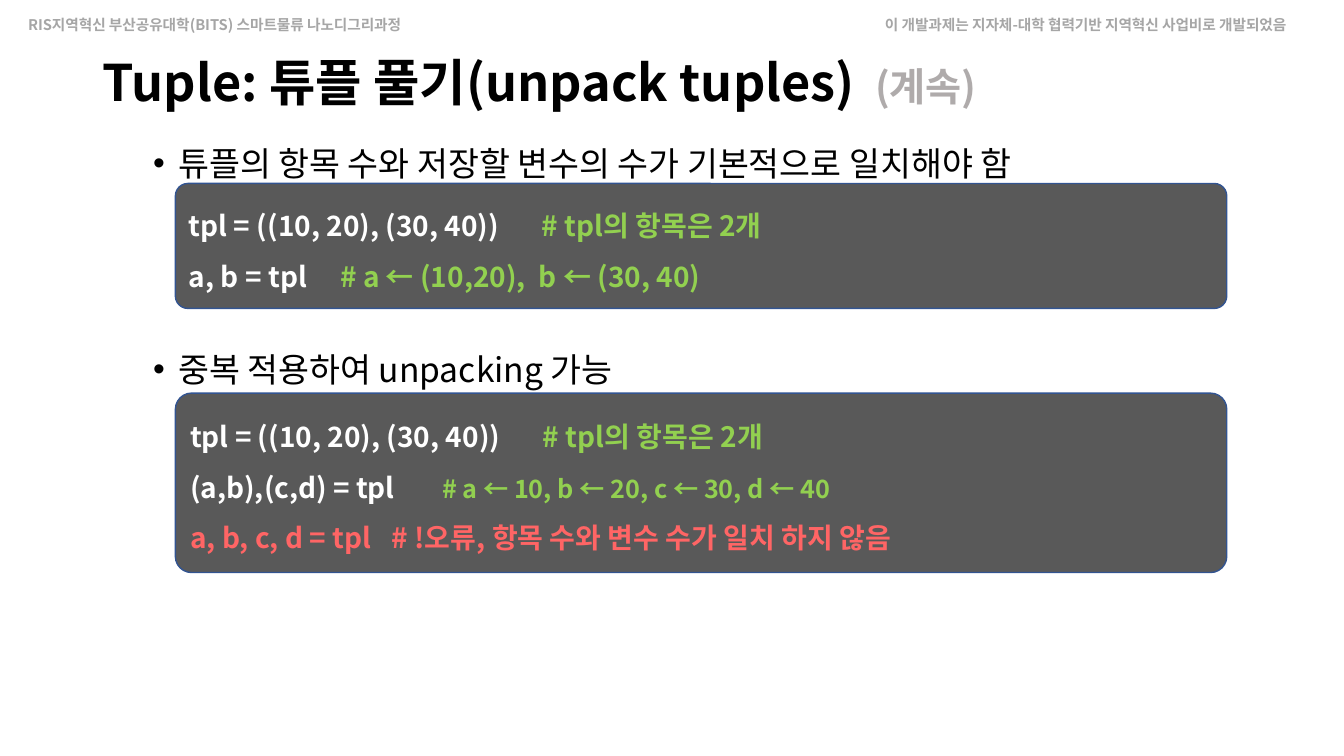
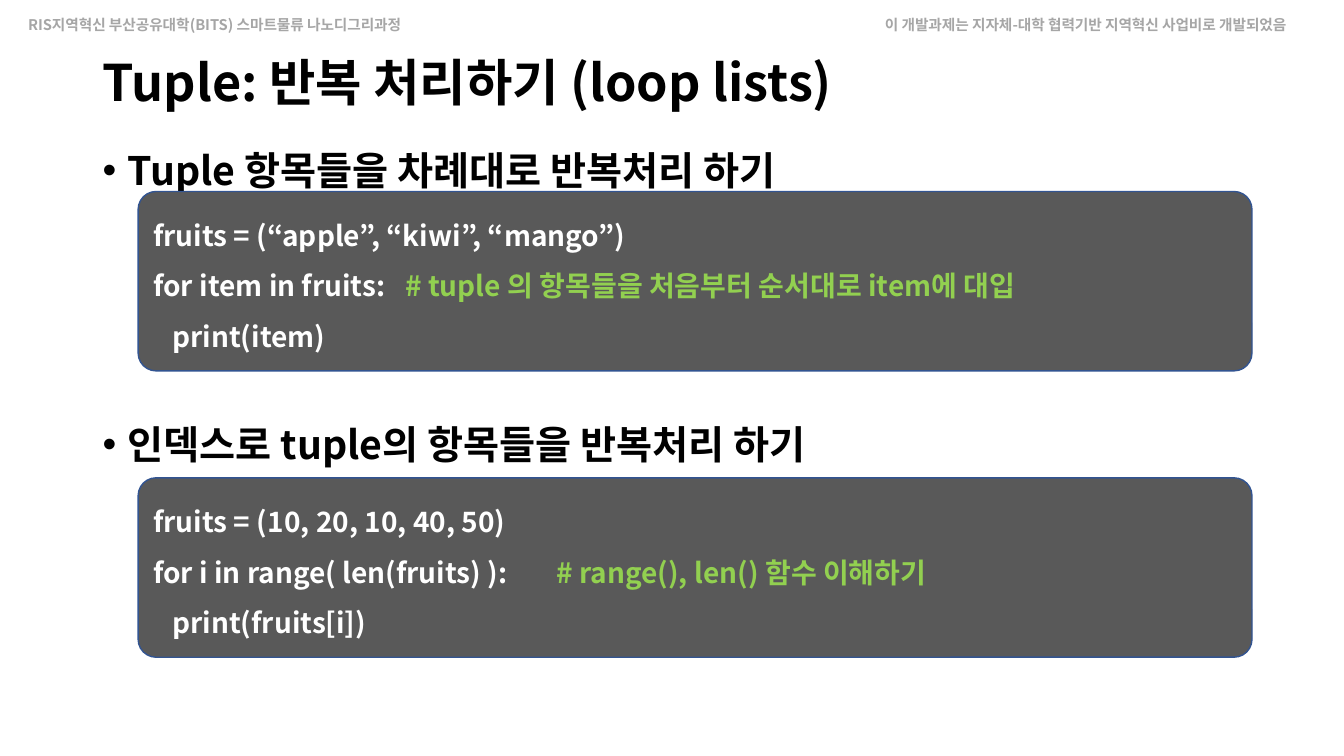
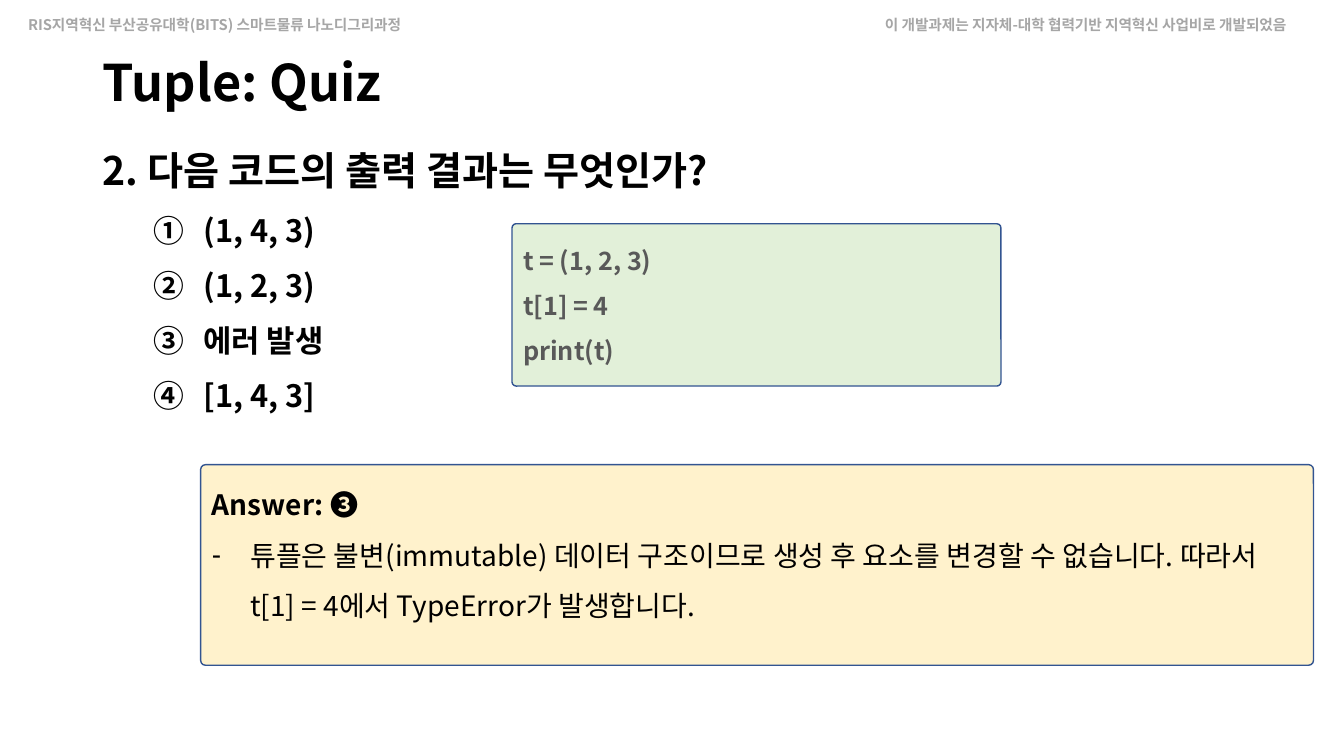
from dataclasses import dataclass

from lxml.etree import SubElement
from pptx import Presentation
from pptx.dml.color import RGBColor
from pptx.enum.shapes import MSO_SHAPE
from pptx.enum.text import MSO_ANCHOR, MSO_AUTO_SIZE, PP_ALIGN
from pptx.oxml.ns import qn
from pptx.util import Inches, Pt


@dataclass(frozen=True)
class Theme:
    font: str = "Noto Sans CJK KR"
    ink: str = "000000"
    muted: str = "AFABAB"
    header: str = "A6A6A6"
    panel: str = "595959"
    outline: str = "325491"
    code: str = "FFFFFF"
    comment: str = "92D050"
    error: str = "FF6565"
    quiz_fill: str = "E2F0D9"
    answer_fill: str = "FFF2CC"
    header_size: float = 10.5
    title_size: int = 36
    heading_size: int = 28
    point_size: int = 24
    option_size: int = 22
    code_size: int = 20
    small_size: int = 18


THEME = Theme()
WIDTH, HEIGHT = Inches(13.333), Inches(7.5)


@dataclass(frozen=True)
class Box:
    """A region given in percent of the slide's width and height."""
    left: float
    top: float
    width: float
    height: float

    def place(self):
        return (int(WIDTH * self.left / 100), int(HEIGHT * self.top / 100),
                int(WIDTH * self.width / 100), int(HEIGHT * self.height / 100))


HEADER_BOXES = (Box(1.35, 1.47, 31.8, 3.73), Box(65.1, 1.47, 34.9, 3.73))
HEADER_TEXTS = ("RIS지역혁신 부산공유대학(BITS) 스마트물류 나노디그리과정",
                "이 개발과제는 지자체-대학 협력기반 지역혁신 사업비로 개발되었음")
TITLE_BOX = Box(6.9, 5.33, 86.25, 12)
BODY_BOX = Box(6.9, 15.6, 90.6, 84.4)


# Text
def add_span(para, text, size=THEME.code_size, color=THEME.ink, bold=True):
    span = para.add_run()
    span.text = text
    span.font.size = Pt(size)
    span.font.bold = bold
    span.font.color.rgb = RGBColor.from_string(color)
    span.font.name = THEME.font
    SubElement(span.font._element, qn("a:ea"), typeface=THEME.font)


def add_para(frame, spacing=1.0, before=0, level=0, left=0.0, hang=0.0,
             bullet=None, number=None, stop=None):
    """Start the next paragraph; left, hang and stop are in inches."""
    first = frame.paragraphs[0]
    para = first if not first.runs else frame.add_paragraph()
    para.level = level
    para.alignment = PP_ALIGN.LEFT
    para.line_spacing = spacing
    para.space_before = Pt(before)
    props = para._p.get_or_add_pPr()
    props.set("marL", str(Inches(left)))
    props.set("indent", str(Inches(-hang)))
    if bullet:
        SubElement(props, qn("a:buFont"), typeface="Arial")
        SubElement(props, qn("a:buChar"), char=bullet)
    elif number:
        SubElement(props, qn("a:buAutoNum"), type=number)
    else:
        SubElement(props, qn("a:buNone"))
    if stop:
        tabs = SubElement(props, qn("a:tabLst"))
        SubElement(tabs, qn("a:tab"), pos=str(Inches(stop)), algn="l")
    return para


def add_text_box(page, box):
    frame = page.shapes.add_textbox(*box.place()).text_frame
    frame.word_wrap = True
    return frame


# Regions
def add_page(deck, title, suffix=None):
    page = deck.slides.add_slide(deck.slide_layouts[5])
    for box, text in zip(HEADER_BOXES, HEADER_TEXTS):
        add_span(add_para(add_text_box(page, box)), text,
                 size=THEME.header_size, color=THEME.header)
    holder = page.shapes.title
    holder.left, holder.top, holder.width, holder.height = TITLE_BOX.place()
    frame = holder.text_frame
    frame.auto_size = MSO_AUTO_SIZE.NONE
    frame.vertical_anchor = MSO_ANCHOR.MIDDLE
    para = add_para(frame, spacing=0.9)
    add_span(para, title, size=THEME.title_size)
    if suffix:
        add_span(para, f" {suffix}", size=THEME.heading_size, color=THEME.muted)
    return page


def add_points(page, box, points, gap, left, level, **style):
    """Bulleted points, gap points apart to leave room for code panels."""
    frame = add_text_box(page, box)
    for index, text in enumerate(points):
        para = add_para(frame, spacing=1.5, before=gap if index else 0,
                        level=level, left=left, hang=0.25, bullet="•")
        add_span(para, text, **style)


def add_panel(page, box, fill, corner):
    panel = page.shapes.add_shape(MSO_SHAPE.ROUNDED_RECTANGLE, *box.place())
    panel.adjustments[0] = corner
    panel.shadow.inherit = False
    panel.fill.solid()
    panel.fill.fore_color.rgb = RGBColor.from_string(fill)
    panel.line.color.rgb = RGBColor.from_string(THEME.outline)
    panel.line.width = Pt(1)
    frame = panel.text_frame
    frame.word_wrap = True
    frame.vertical_anchor = MSO_ANCHOR.TOP
    return frame


def add_code(page, box, lines, corner=0.1, fill=THEME.panel, **style):
    """Each line is code, comment, tab stop and formats of the two parts."""
    frame = add_panel(page, box, fill, corner)
    for code, comment, stop, changes, comment_changes in lines:
        para = add_para(frame, spacing=1.5, stop=stop)
        code_style = {"color": THEME.code, **style, **changes}
        add_span(para, code + ("\t" if comment else ""), **code_style)
        if comment:
            add_span(para, comment, **{"color": THEME.comment, **comment_changes})


def line(code, comment=None, stop=None, changes=None, comment_changes=None):
    return code, comment, stop, changes or {}, comment_changes or {}


def add_question(page, box, question, options):
    frame = add_text_box(page, box)
    add_span(add_para(frame, spacing=1.5), question, size=THEME.heading_size)
    for option in options:
        para = add_para(frame, spacing=1.3, before=5, level=1, left=1, hang=0.5,
                        number="circleNumDbPlain")
        add_span(para, option, size=THEME.option_size)


def add_answer(page, box, answer, reason):
    frame = add_panel(page, box, THEME.answer_fill, corner=0.024)
    add_span(add_para(frame, spacing=1.5), answer)
    para = add_para(frame, spacing=1.5, left=0.38, hang=0.38, bullet="-")
    add_span(para, reason, bold=False)


# Slides
def unpack_page(deck):
    page = add_page(deck, "Tuple: 튜플 풀기(unpack tuples) ", "(계속)")
    add_points(page, BODY_BOX,
               ["튜플의 항목 수와 저장할 변수의 수가 기본적으로 일치해야 함",
                "중복 적용하여 unpacking 가능"],
               gap=104, left=0.75, level=1, size=THEME.point_size, bold=False)
    pair = line("tpl = ((10, 20), (30, 40))", "# tpl의 항목은 2개", 4)
    error = {"color": THEME.error}
    add_code(page, Box(13.05, 24.27, 78.23, 16.53), [
        pair,
        line("a, b = tpl", "# a ← (10,20),  b ← (30, 40)", 4),
    ])
    add_code(page, Box(13.05, 52, 78.23, 23.73), [
        pair,
        line("(a,b),(c,d) = tpl", "# a ← 10, b ← 20, c ← 30, d ← 40", 4,
             comment_changes={"size": THEME.small_size}),
        line("a, b, c, d = tpl", "# !오류, 항목 수와 변수 수가 일치 하지 않음", 3,
             error, error),
    ], corner=0.09)


def loop_page(deck):
    page = add_page(deck, "Tuple: 반복 처리하기 (loop lists)")
    add_points(page, BODY_BOX,
               ["Tuple 항목들을 차례대로 반복처리 하기",
                "인덱스로 tuple의 항목들을 반복처리 하기"],
               gap=145, left=0.25, level=0, size=THEME.heading_size)
    listings = [
        [line("fruits = (“apple”, “kiwi”, “mango”)"),
         line("for item in fruits:",
              "# tuple 의 항목들을 처음부터 순서대로 item에 대입", 2.48),
         line("   print(item)")],
        [line("fruits = (10, 20, 10, 40, 50)"),
         line("for i in range( len(fruits) ):",
              "# range(), len() 함수 이해하기", 4.06),
         line("   print(fruits[i])")],
    ]
    for top, listing in zip((25.33, 63.2), listings):
        add_code(page, Box(10.28, top, 82.88, 23.73), listing)


def quiz_page(deck):
    page = add_page(deck, "Tuple: Quiz")
    add_question(page, BODY_BOX, "2. 다음 코드의 출력 결과는 무엇인가?",
                 ["(1, 4, 3)", "(1, 2, 3)", "에러 발생", "[1, 4, 3]"])
    add_answer(page, Box(14.93, 61.47, 82.8, 26.53), "Answer: ❸",
               "튜플은 불변(immutable) 데이터 구조이므로 생성 후 요소를 변경할 수 "
               "없습니다. 따라서 t[1] = 4에서 TypeError가 발생합니다.")
    add_code(page, Box(38.1, 29.6, 36.38, 21.47),
             [line("t = (1, 2, 3)"), line("t[1] = 4"), line("print(t)")],
             corner=0.025, fill=THEME.quiz_fill, color=THEME.panel,
             size=THEME.small_size)


def main():
    deck = Presentation()
    deck.slide_width, deck.slide_height = WIDTH, HEIGHT
    for build in (unpack_page, loop_page, quiz_page):
        build(deck)
    deck.save("out.pptx")


if __name__ == "__main__":
    main()
